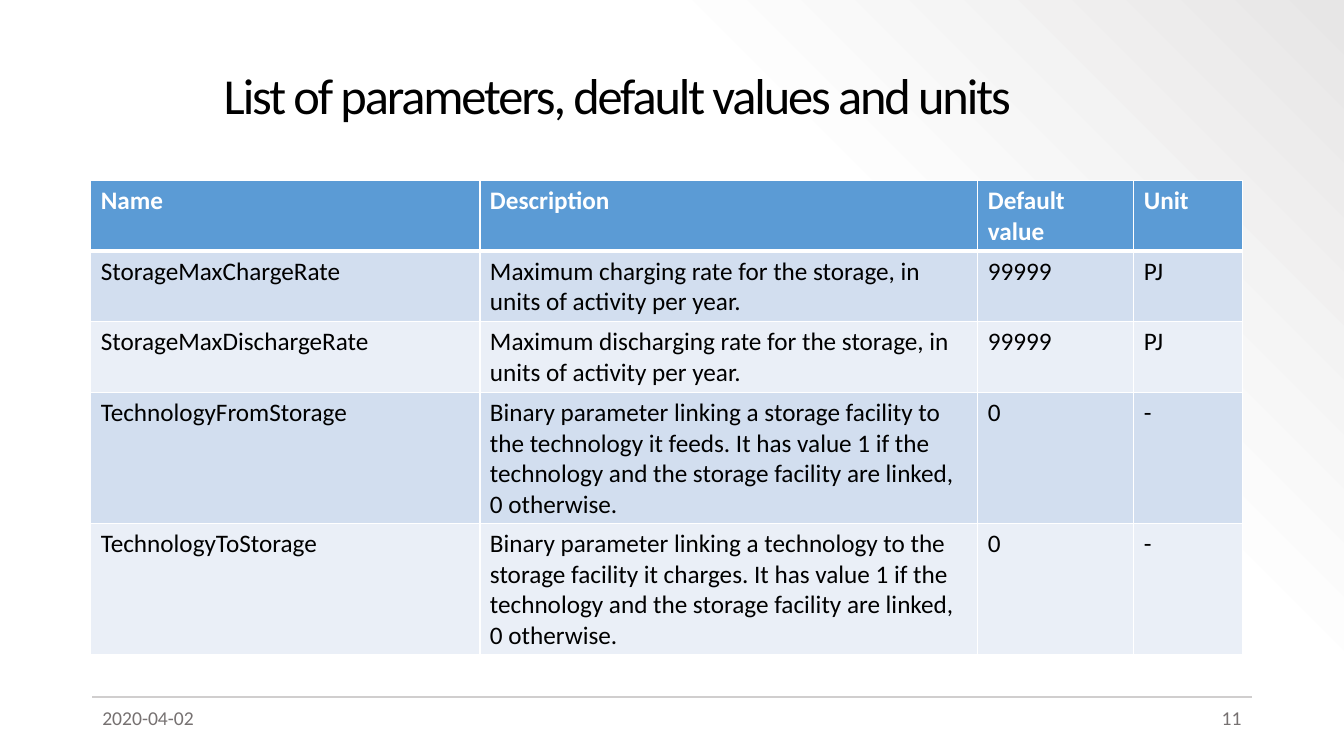
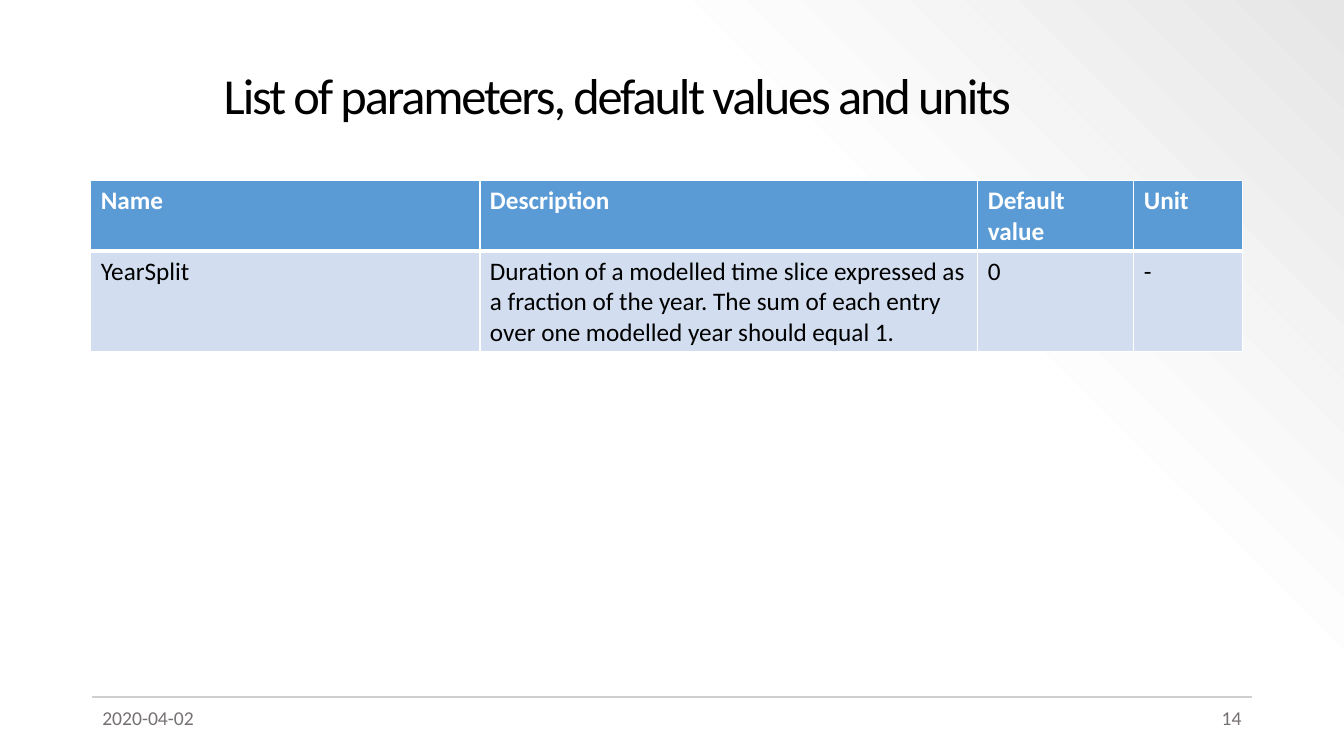
from dataclasses import dataclass

from lxml.etree import SubElement
from pptx import Presentation
from pptx.dml.color import RGBColor
from pptx.enum.shapes import MSO_CONNECTOR
from pptx.enum.text import MSO_ANCHOR, MSO_AUTO_SIZE, PP_ALIGN
from pptx.oxml.ns import qn
from pptx.util import Pt


@dataclass(frozen=True)
class Theme:
    """Colours, type sizes and the background gradient of the deck."""
    font: str = "Calibri"
    title_size: float = 36
    table_size: float = 18
    footer_size: float = 14
    text: str = "000000"
    white: str = "FFFFFF"
    muted: str = "767171"
    rule: str = "D0CECE"
    header: str = "5B9BD5"
    bands: tuple = ("D2DEEF", "EAEFF7")
    gradient: tuple = ((0, "FFFFFF", 100), (69, "FDFDFD", 100), (100, "E7E6E6", 50))


TITLE = "List of parameters, default values and units"
DATE = "2020-04-02"
HEADINGS = ("Name", "Description", "Default value", "Unit")
COLUMNS = (278, 355.7, 111.4, 77.8)
ROW_HEIGHT = 29.2
LEFT, RIGHT = 66, 894

PAGES = (
    ("11", (
        ("StorageMaxChargeRate",
         "Maximum charging rate for the storage, in units of activity per year.",
         "99999", "PJ"),
        ("StorageMaxDischargeRate",
         "Maximum discharging rate for the storage, in units of activity per year.",
         "99999", "PJ"),
        ("TechnologyFromStorage",
         "Binary parameter linking a storage facility to the technology it feeds. "
         "It has value 1 if the technology and the storage facility are linked, 0 otherwise.",
         "0", "-"),
        ("TechnologyToStorage",
         "Binary parameter linking a technology to the storage facility it charges. "
         "It has value 1 if the technology and the storage facility are linked, 0 otherwise.",
         "0", "-"),
    )),
    ("14", (
        ("YearSplit",
         "Duration of a modelled time slice expressed as a fraction of the year. "
         "The sum of each entry over one modelled year should equal 1.",
         "0", "-"),
    )),
)


def write(tf, text, *, font, size, color, bold=False, align=PP_ALIGN.LEFT,
          line_spacing=None, tracking=None):
    """Write one formatted paragraph into a text frame."""
    p = tf.paragraphs[0]
    p.alignment = align
    p.line_spacing = line_spacing
    r = p.add_run()
    r.text = text
    r.font.name = font
    r.font.size = Pt(size)
    r.font.bold = bold
    r.font.color.rgb = RGBColor.from_string(color)
    if tracking is not None:
        r.font._element.set("spc", str(round(tracking * 100)))


def set_border(cell, side, color, width):
    """Draw one solid border of a table cell."""
    ln = SubElement(cell._tc.get_or_add_tcPr(), qn(f"a:ln{side}"), w=str(Pt(width)))
    fill = SubElement(ln, qn("a:solidFill"))
    SubElement(fill, qn("a:srgbClr"), val=color)


class Deck:
    """Holds the style and the current slide, and adds elements to it."""

    def __init__(self, theme):
        """Start a widescreen presentation."""
        self.theme = theme
        self.prs = Presentation()
        self.prs.slide_width, self.prs.slide_height = Pt(960), Pt(540)
        self.s = None
        self.background()

    def background(self):
        """Give the slide master its diagonal gradient."""
        master = self.prs.slide_master
        fill = master.background.fill
        fill.gradient()
        fill.gradient_angle = 45
        stops = next(master.background._cSld.iter(qn("a:gsLst")))
        for stop in list(stops):
            stops.remove(stop)
        for position, color, opacity in self.theme.gradient:
            stop = SubElement(stops, qn("a:gs"), pos=str(position * 1000))
            clr = SubElement(stop, qn("a:srgbClr"), val=color)
            if opacity < 100:
                SubElement(clr, qn("a:alpha"), val=str(opacity * 1000))

    def slide(self, title, date, number):
        """Add a slide with its title and footer."""
        self.s = self.prs.slides.add_slide(self.prs.slide_layouts[5])
        self.title(title)
        self.rule(498)
        self.footer(date, LEFT, PP_ALIGN.LEFT)
        self.footer(number, RIGHT - 216, PP_ALIGN.RIGHT)

    def title(self, text):
        """Place and fill the title placeholder."""
        sp = self.s.shapes.title
        sp.left, sp.top, sp.width, sp.height = Pt(152.6), Pt(26.6), Pt(741.6), Pt(87.8)
        tf = sp.text_frame
        tf.word_wrap = True
        tf.auto_size = MSO_AUTO_SIZE.NONE
        tf.vertical_anchor = MSO_ANCHOR.MIDDLE
        write(tf, text, font=self.theme.font, size=self.theme.title_size,
              color=self.theme.text, line_spacing=0.9, tracking=-1.5)

    def rule(self, y):
        """Draw the line above the footer."""
        line = self.s.shapes.add_connector(
            MSO_CONNECTOR.STRAIGHT, Pt(LEFT), Pt(y), Pt(RIGHT), Pt(y))
        line.line.color.rgb = RGBColor.from_string(self.theme.rule)
        line.line.width = Pt(1.5)
        SubElement(line._element.spPr, qn("a:effectLst"))

    def footer(self, text, left, align):
        """Add one footer text."""
        sp = self.s.shapes.add_textbox(Pt(left), Pt(500.4), Pt(216), Pt(28.8))
        tf = sp.text_frame
        tf.word_wrap = True
        write(tf, text, font=self.theme.font, size=self.theme.footer_size,
              color=self.theme.muted, align=align)

    def table(self, rows):
        """Add a parameter table with a header row and banded body rows."""
        grid = (HEADINGS, *rows)
        table = self.s.shapes.add_table(
            len(grid), len(COLUMNS), Pt(64.8), Pt(128.9),
            Pt(sum(COLUMNS)), Pt(ROW_HEIGHT * len(grid))).table
        for column, width in zip(table.columns, COLUMNS):
            column.width = Pt(width)
        for i, texts in enumerate(grid):
            for j, text in enumerate(texts):
                self.cell(table.cell(i, j), text, i)

    def cell(self, cell, text, row):
        """Fill, border and write one table cell."""
        theme = self.theme
        is_header = row == 0
        widths = {"L": 1, "R": 1, "T": 3 if row == 1 else 1, "B": 3 if is_header else 1}
        for side, width in widths.items():
            set_border(cell, side, theme.white, width)
        cell.fill.solid()
        cell.fill.fore_color.rgb = RGBColor.from_string(
            theme.header if is_header else theme.bands[(row - 1) % 2])
        write(cell.text_frame, text, font=theme.font, size=theme.table_size,
              color=theme.white if is_header else theme.text, bold=is_header)


def main():
    """Build and save the deck."""
    deck = Deck(Theme())
    for number, rows in PAGES:
        deck.slide(TITLE, DATE, number)
        deck.table(rows)
    deck.prs.save("out.pptx")


if __name__ == "__main__":
    main()
